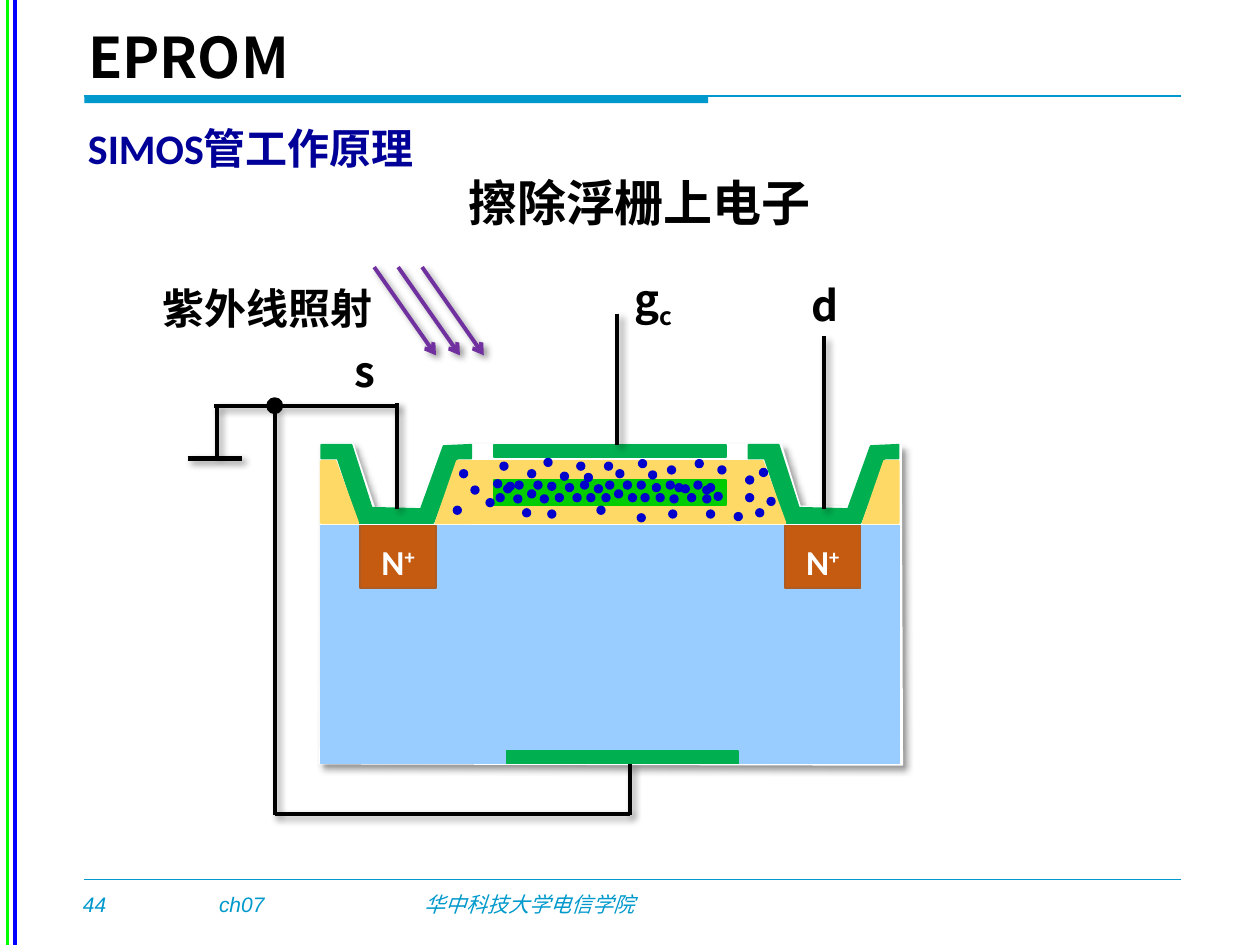
from dataclasses import dataclass

from lxml import etree
from pptx import Presentation
from pptx.dml.color import RGBColor
from pptx.enum.shapes import MSO_CONNECTOR, MSO_SHAPE
from pptx.enum.text import MSO_ANCHOR, MSO_AUTO_SIZE, PP_ALIGN
from pptx.oxml.ns import qn
from pptx.util import Inches, Pt

# Grid: 1000 columns by 750 rows over a 10 x 7.5 inch page.
CELL = Inches(0.01)
COLUMNS, ROWS = 1000, 750

STRAIGHT = MSO_CONNECTOR.STRAIGHT
RECTANGLE, ELLIPSE = MSO_SHAPE.RECTANGLE, MSO_SHAPE.OVAL
LEFT, CENTER = PP_ALIGN.LEFT, PP_ALIGN.CENTER
TOP, MIDDLE = MSO_ANCHOR.TOP, MSO_ANCHOR.MIDDLE
GROW = MSO_AUTO_SIZE.SHAPE_TO_FIT_TEXT

BLACK = RGBColor(0x00, 0x00, 0x00)
WHITE = RGBColor(0xFF, 0xFF, 0xFF)
BLUE = RGBColor(0x00, 0x00, 0xFF)
LIME = RGBColor(0x00, 0xFF, 0x00)
TEAL = RGBColor(0x00, 0x99, 0xCC)
NAVY = RGBColor(0x00, 0x00, 0x99)
SUBSTRATE = RGBColor(0x99, 0xCC, 0xFF)
OXIDE = RGBColor(0xFF, 0xD9, 0x66)
METAL = RGBColor(0x00, 0xB0, 0x50)
FLOATING_GATE = RGBColor(0x00, 0xCC, 0x00)
DOPED = RGBColor(0xC5, 0x5A, 0x11)
DOPED_EDGE = RGBColor(0xAF, 0x5C, 0x24)
ELECTRON = RGBColor(0x00, 0x00, 0xCC)
ULTRAVIOLET = RGBColor(0x70, 0x30, 0xA0)

SANS = "Noto Sans CJK SC"
FOOTER = {"name": "Arial", "size": Pt(12), "italic": True}
TITLE = {"name": SANS, "size": Pt(32), "bold": True}
SUBTITLE = {"name": "Calibri", "size": Pt(24), "bold": True}
HEADING = {"name": SANS, "size": Pt(28), "bold": True}
LABEL = {"name": SANS, "size": Pt(24), "bold": True}
DOPING = {"name": "Calibri", "size": Pt(20), "bold": True}


@dataclass
class Caption:
    area: tuple
    text: str
    style: dict
    color: RGBColor = BLACK
    align: int = CENTER
    spacing: float = 1.0
    script: str = ""
    baseline: int = 0
    wrap: bool = True


@dataclass
class Wire:
    start: tuple
    end: tuple
    color: RGBColor = BLACK
    width: float = 2.25
    shadow: bool = True
    arrow: bool = False


CAPTIONS = [
    Caption((56, 703, 41, 30), "44", FOOTER, TEAL, LEFT, wrap=False),
    Caption((327, 703, 265, 30), "华中科技大学电信学院", FOOTER, TEAL, LEFT),
    Caption((164, 703, 80, 30), "ch07", FOOTER, TEAL, LEFT),
    Caption((60, 13, 912, 64), "EPROM", TITLE, BLACK, LEFT),
    Caption((60, 84, 893, 56), "SIMOS管工作原理", SUBTITLE, NAVY, LEFT, 1.2),
    Caption((290, 132, 435, 57), "擦除浮栅上电子", HEADING),
    Caption((117, 219, 190, 50), "紫外线照射", LABEL),
    Caption((264, 269, 51, 50), "s", LABEL),
    Caption((490, 212, 57, 50), "g", LABEL, script="c", baseline=-25000),
    Caption((626, 217, 57, 50), "d", LABEL),
]

FRAME_LINES = [
    Wire((12, 0), (12, ROWS), BLUE, 2, False),
    Wire((6, 0), (6, ROWS), LIME, 2, False),
    Wire((67, 76), (937, 76), TEAL, 1, False),
    Wire((67, 698), (937, 698), TEAL, 1, False),
]
CIRCUIT = [
    Wire((654, 267), (654, 404)),
    Wire((315, 320), (315, 404)),
    Wire((490, 249), (490, 353)),
    Wire((500, 647), (500, 606)),
    Wire((172, 362), (172, 322)),
    Wire((170, 322), (315, 322)),
    Wire((218, 646), (500, 646)),
    Wire((149, 364), (192, 364), width=3),
    Wire((218, 647), (218, 322)),
]
RAYS = [Wire((x, 212), (x + 49, 282), ULTRAVIOLET, arrow=True) for x in (335, 316, 297)]

BACKDROP = [(255, 352), (254, 606), (716, 607), (715, 354), (691, 353), (672, 402), (635, 402),
            (620, 353), (351, 353), (333, 403), (297, 403), (280, 352)]
# Source contact; the drain repeats it DRAIN_SHIFT columns to the right.
DRAIN_SHIFT = 339
CONTACT = [(255, 353), (255, 364), (268, 364), (285, 415), (344, 415), (363, 364), (374, 364),
           (374, 353), (352, 354), (334, 404), (295, 403), (279, 353)]
OXIDE_WEDGES = [[(374, 366), (374, 415), (346, 415), (363, 366)],
                [(255, 366), (255, 415), (284, 415), (266, 366)]]

ELECTRON_SIZE = 6
SCATTERED = [
    (360, 402), (397, 367), (386, 396), (432, 364), (419, 373), (402, 383), (458, 367), (445, 375),
    (415, 404), (474, 402), (464, 376), (435, 405), (592, 392), (536, 384), (480, 367), (489, 373),
    (531, 405), (506, 408), (507, 365), (515, 374), (558, 386), (600, 404), (530, 370), (609, 395),
    (552, 365), (570, 370), (592, 378), (603, 372), (561, 405), (374, 386), (365, 373), (583, 407)]
STORED = [
    (400, 385), (409, 382), (408, 393), (419, 389), (424, 382), (429, 393), (435, 383), (441, 392),
    (449, 384), (455, 392), (461, 382), (466, 392), (472, 385), (478, 392), (481, 382), (488, 389),
    (499, 392), (495, 382), (506, 382), (509, 392), (518, 384), (521, 392), (529, 382), (532, 393),
    (541, 385), (551, 382), (561, 384), (546, 392), (558, 393), (394, 392), (392, 381), (567, 391)]


def cells(values: tuple) -> list:
    return [value * CELL for value in values]


def set_effects(item, shadow: bool) -> None:
    """Give an item an explicit effect list, empty or with the soft shadow."""
    effects = etree.SubElement(item._element.spPr, qn("a:effectLst"))
    if shadow:
        outer = etree.SubElement(effects, qn("a:outerShdw"), blurRad=str(Pt(4)),
                                 dist=str(Pt(3)), dir="2700000", algn="tl", rotWithShape="0")
        color = etree.SubElement(outer, qn("a:srgbClr"), val="000000")
        etree.SubElement(color, qn("a:alpha"), val="40000")


def paint(shape, fill: RGBColor, edge: RGBColor, width: float, shadow: bool = False) -> None:
    shape.fill.solid()
    shape.fill.fore_color.rgb = fill
    shape.line.color.rgb = edge
    shape.line.width = Pt(width)
    set_effects(shape, shadow)


def draw_shape(page, kind, area: tuple, fill: RGBColor, edge: RGBColor | None = None):
    shape = page.shapes.add_shape(kind, *cells(area))
    paint(shape, fill, edge or fill, 1)
    return shape


def draw_outline(page, points: list, shift: int, fill: RGBColor, width: float = 1,
                 shadow: bool = False) -> None:
    start, *others = [(x + shift, y) for x, y in points]
    builder = page.shapes.build_freeform(*start, scale=CELL)
    builder.add_line_segments(others, close=True)
    paint(builder.convert_to_shape(), fill, fill, width, shadow)


def draw_wire(page, wire: Wire) -> None:
    line = page.shapes.add_connector(STRAIGHT, *cells(wire.start + wire.end))
    line.line.color.rgb = wire.color
    line.line.width = Pt(wire.width)
    if wire.arrow:
        etree.SubElement(line.line._get_or_add_ln(), qn("a:tailEnd"), type="arrow")
    set_effects(line, wire.shadow)


def write(box, caption: Caption, anchor: int = TOP) -> None:
    frame = box.text_frame
    frame.word_wrap = caption.wrap
    frame.auto_size = GROW
    frame.vertical_anchor = anchor
    para = frame.paragraphs[0]
    para.alignment = caption.align
    para.line_spacing = caption.spacing
    for text, baseline in ((caption.text, 0), (caption.script, caption.baseline)):
        if not text:
            continue
        span = para.add_run()
        span.text = text
        for name, value in caption.style.items():
            setattr(span.font, name, value)
        span.font.color.rgb = caption.color
        properties = span._r.get_or_add_rPr()
        etree.SubElement(properties, qn("a:ea"), typeface=SANS)
        if baseline:
            properties.set("baseline", str(baseline))


def draw_transistor(page) -> None:
    draw_outline(page, BACKDROP, 0, WHITE, shadow=True)
    draw_shape(page, RECTANGLE, (255, 417, 459, 189), SUBSTRATE)
    draw_shape(page, RECTANGLE, (368, 366, 234, 49), OXIDE)
    draw_shape(page, RECTANGLE, (392, 353, 184, 10), METAL)
    for shift in (DRAIN_SHIFT, 0):
        draw_outline(page, CONTACT, shift, METAL)
        for wedge in OXIDE_WEDGES:
            draw_outline(page, wedge, shift, OXIDE, 1.5)
    draw_shape(page, RECTANGLE, (392, 381, 184, 20), FLOATING_GATE)
    for left in (623, 286):
        area = (left, 417, 60, 50)
        region = draw_shape(page, RECTANGLE, area, DOPED, DOPED_EDGE)
        write(region, Caption(area, "N", DOPING, WHITE, spacing=1.2,
                              script="+", baseline=30000), MIDDLE)
    draw_shape(page, RECTANGLE, (402, 596, 184, 10), METAL)


def main() -> None:
    deck = Presentation()
    deck.slide_width, deck.slide_height = COLUMNS * CELL, ROWS * CELL
    page = deck.slides.add_slide(deck.slide_layouts[6])
    for wire in FRAME_LINES:
        draw_wire(page, wire)
    band = draw_shape(page, RECTANGLE, (67, 76, 495, 6), TEAL)
    band.line.fill.background()
    draw_transistor(page)
    for wire in CIRCUIT:
        draw_wire(page, wire)
    draw_shape(page, ELLIPSE, (212, 316, 12, 12), BLACK)
    for left, top in SCATTERED + STORED:
        draw_shape(page, ELLIPSE, (left, top, ELECTRON_SIZE, ELECTRON_SIZE), ELECTRON)
    for ray in RAYS:
        draw_wire(page, ray)
    for caption in CAPTIONS:
        write(page.shapes.add_textbox(*cells(caption.area)), caption)
    deck.save("out.pptx")


if __name__ == "__main__":
    main()
